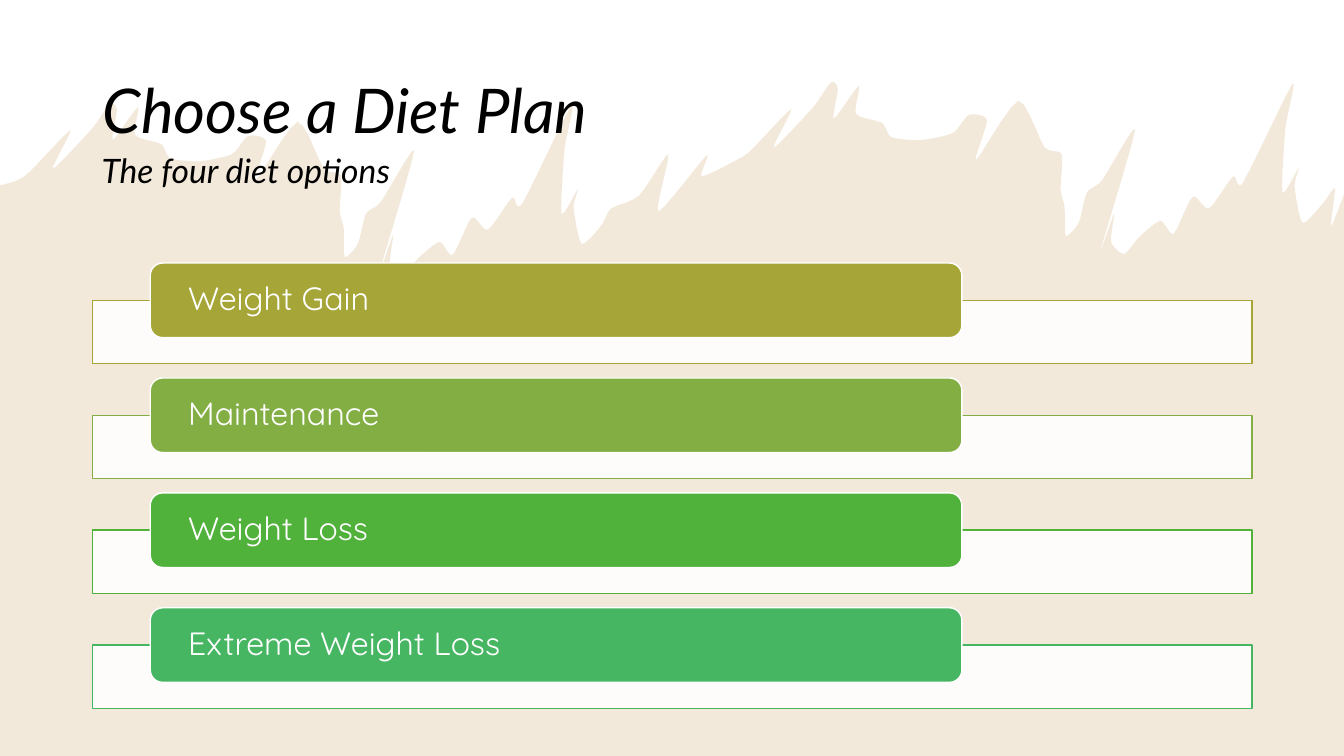
from dataclasses import dataclass

import lxml.etree
import pptx
import pptx.dml.color
import pptx.enum.shapes
import pptx.enum.text
import pptx.oxml.ns
import pptx.util

PX = 9144
SLIDE_W, SLIDE_H = 1333, 750
CURVE_STEPS = 5
CURVE_TENSION = 0.35
PLAN_PITCH = 114

Point = tuple[float, float]


@dataclass(frozen=True)
class Theme:
    paper: str = "FFFFFF"
    ink: str = "000000"
    wash: str = "C3914D"
    wash_alpha: int = 20
    slot_alpha: int = 90
    heading_font: str = "Lato"
    label_font: str = "Quicksand"
    title_size: int = 44
    subtitle_size: int = 24
    label_size: int = 23
    line_width: int = 1


@dataclass(frozen=True)
class Box:
    x: int
    y: int
    w: int
    h: int

    def down(self, dy: int) -> "Box":
        return Box(self.x, self.y + dy, self.w, self.h)

    def emu(self) -> list[int]:
        return [v * PX for v in (self.x, self.y, self.w, self.h)]


@dataclass(frozen=True)
class Plan:
    name: str
    color: str


THEME = Theme()
TITLE_BOX = Box(92, 40, 1150, 145)
SUBTITLE_BOX = Box(91, 144, 974, 50)
SLOT_BOX = Box(92, 298, 1150, 63)
LABEL_BOX = Box(149, 261, 805, 74)
LABEL_INSET = 34

PLANS = [
    Plan("Weight Gain", "A6A537"),
    Plan("Maintenance", "83AE44"),
    Plan("Weight Loss", "50B13B"),
    Plan("Extreme Weight Loss", "47B662"),
]

CREST_SHIFT = (-715, 21)
LEFT_EDGE: list[Point] = [(0, 184), (17, 179)]
CREST: list[Point] = [
    (745, 149), (785, 108), (767, 147), (806, 107), (824, 82), (831, 88), (827, 118),
    (852, 85), (849, 113), (875, 122), (884, 136), (913, 139), (945, 132), (961, 114),
    (979, 119), (968, 159), (1010, 100), (1036, 146), (1053, 153), (1052, 188),
    (1056, 206), (1057, 234), (1070, 221), (1078, 191), (1093, 179), (1126, 128),
    (1091, 250), (1105, 212), (1102, 240), (1115, 252), (1130, 235), (1151, 219),
    (1164, 232), (1183, 195), (1199, 207), (1223, 175), (1233, 181), (1282, 83),
    (1275, 127), (1272, 191), (1288, 167), (1284, 185), (1292, 221), (1312, 202),
]
SADDLE: list[Point] = [
    (606, 207), (634, 194), (663, 153), (653, 210), (701, 154), (696, 175), (732, 158),
]
RIGHT_EDGE: list[Point] = [(1324, 187), (1320, 225), (1333, 193)]


def rgb(color: str) -> pptx.dml.color.RGBColor:
    return pptx.dml.color.RGBColor.from_string(color)


def apply(target: object, values: dict) -> None:
    for name, value in values.items():
        setattr(target, name, value)


def smooth(knots: list[Point]) -> list[Point]:
    padded = [knots[0], *knots, knots[-1]]
    points = [knots[0]]
    for before, a, b, after in zip(padded, padded[1:], padded[2:], padded[3:]):
        for step in range(1, CURVE_STEPS + 1):
            t = step / CURVE_STEPS
            blend = t * t * (3 - 2 * t)
            leave, arrive = t * (1 - t) ** 2, t * t * (t - 1)
            points.append(tuple(
                a[k] + blend * (b[k] - a[k])
                + CURVE_TENSION * (leave * (b[k] - before[k]) + arrive * (after[k] - a[k]))
                for k in range(2)))
    return points


def paint(sp, fill: str, alpha: int = 100, line: str | None = None) -> None:
    sp.shadow.inherit = False
    sp.fill.solid()
    sp.fill.fore_color.rgb = rgb(fill)
    if alpha < 100:
        qn = pptx.oxml.ns.qn
        clr = sp._element.spPr.find(qn("a:solidFill"))[0]
        lxml.etree.SubElement(clr, qn("a:alpha"), val=str(alpha * 1000))
    if line is None:
        sp.line.fill.background()
    else:
        sp.line.color.rgb = rgb(line)
        sp.line.width = pptx.util.Pt(THEME.line_width)


def write(sp, text: str, font: dict, color: str, frame: dict, spacing: float = 1.0) -> None:
    tf = sp.text_frame
    apply(tf, {"word_wrap": True, **frame})
    p = tf.paragraphs[0]
    apply(p, {"alignment": pptx.enum.text.PP_ALIGN.LEFT, "line_spacing": spacing})
    r = p.add_run()
    r.text = text
    apply(r.font, font)
    r.font.color.rgb = rgb(color)


def draw_wash(s) -> None:
    dx, dy = CREST_SHIFT
    left_crest = [(x + dx, y + dy) for x, y in CREST]
    edge = smooth(LEFT_EDGE + left_crest + SADDLE + CREST + RIGHT_EDGE)
    points = edge + [(SLIDE_W, SLIDE_H), (0, SLIDE_H)]
    outline = [(round(x * PX), round(y * PX)) for x, y in points]
    fb = s.shapes.build_freeform(*outline[0], scale=1.0)
    fb.add_line_segments(outline[1:], close=True)
    paint(fb.convert_to_shape(), THEME.wash, THEME.wash_alpha)


def draw_headings(s) -> None:
    middle = {"vertical_anchor": pptx.enum.text.MSO_ANCHOR.MIDDLE}
    font = {"name": THEME.heading_font, "italic": True}
    title = s.shapes.title
    apply(title, dict(zip(("left", "top", "width", "height"), TITLE_BOX.emu())))
    title_font = {**font, "size": pptx.util.Pt(THEME.title_size)}
    write(title, "Choose a Diet Plan", title_font, THEME.ink, middle, 0.9)
    sp = s.shapes.add_textbox(*SUBTITLE_BOX.emu())
    subtitle_font = {**font, "size": pptx.util.Pt(THEME.subtitle_size)}
    write(sp, "The four diet options", subtitle_font, THEME.ink, {})


def draw_plan(s, plan: Plan, dy: int) -> None:
    kinds = pptx.enum.shapes.MSO_SHAPE
    slot = s.shapes.add_shape(kinds.RECTANGLE, *SLOT_BOX.down(dy).emu())
    paint(slot, THEME.paper, THEME.slot_alpha, plan.color)
    label = s.shapes.add_shape(kinds.ROUNDED_RECTANGLE, *LABEL_BOX.down(dy).emu())
    paint(label, plan.color, line=THEME.paper)
    font = {"name": THEME.label_font, "size": pptx.util.Pt(THEME.label_size)}
    frame = {"vertical_anchor": pptx.enum.text.MSO_ANCHOR.MIDDLE, "margin_left": LABEL_INSET * PX,
             "margin_right": LABEL_INSET * PX, "margin_top": 0, "margin_bottom": 0}
    write(label, plan.name, font, THEME.paper, frame, 0.9)


def main() -> None:
    prs = pptx.Presentation()
    apply(prs, {"slide_width": SLIDE_W * PX, "slide_height": SLIDE_H * PX})
    s = prs.slides.add_slide(prs.slide_layouts.get_by_name("Title Only"))
    s.background.fill.solid()
    s.background.fill.fore_color.rgb = rgb(THEME.paper)
    draw_wash(s)
    s.shapes._spTree.append(s.shapes.title._element)
    draw_headings(s)
    for i, plan in enumerate(PLANS):
        draw_plan(s, plan, i * PLAN_PITCH)
    prs.save("out.pptx")


if __name__ == "__main__":
    main()
